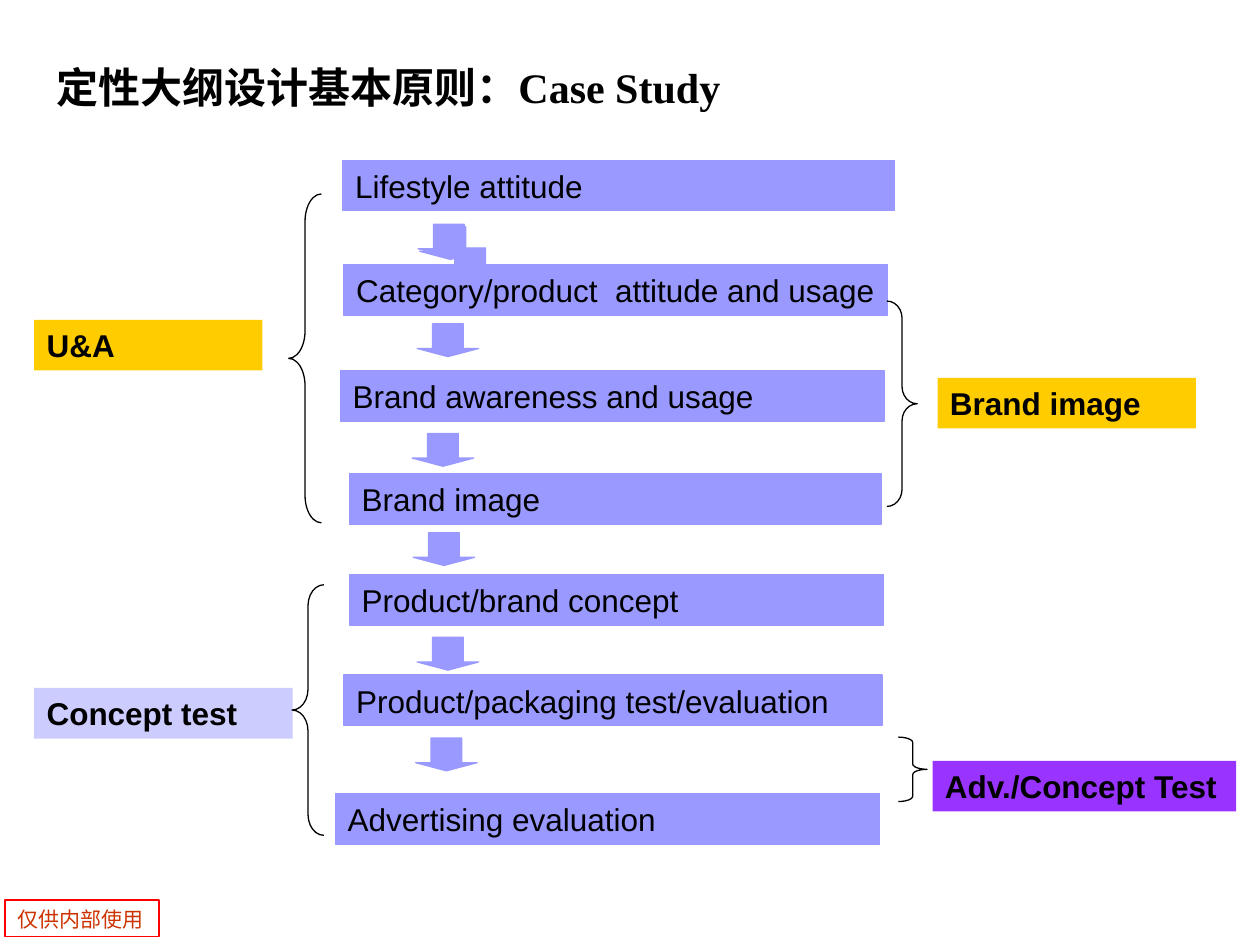
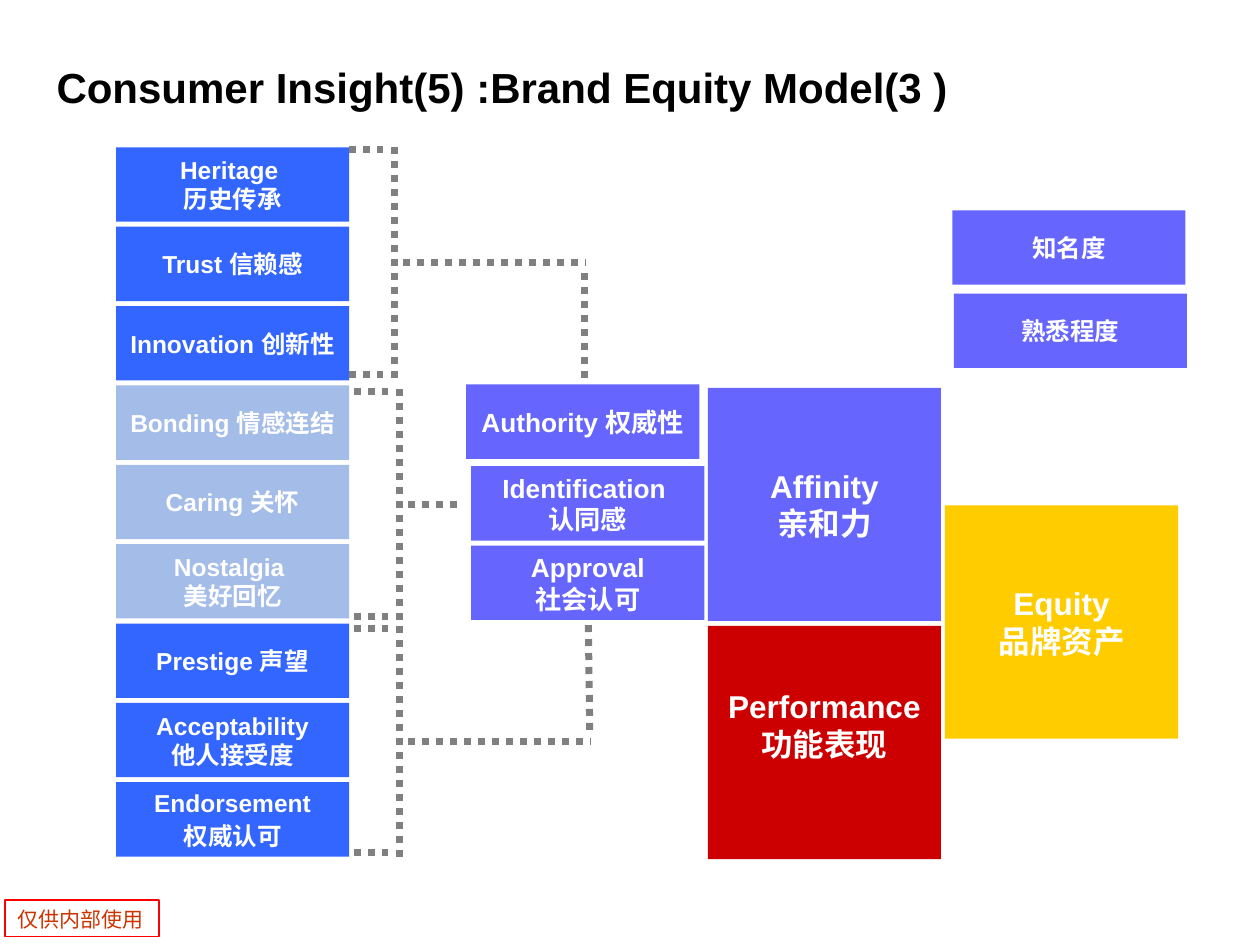
from dataclasses import dataclass

from lxml import etree
from pptx import Presentation
from pptx import util as u
from pptx.dml.color import RGBColor
from pptx.enum import dml, shapes, text
from pptx.oxml import ns


@dataclass(frozen=True)
class Theme:
    black: str = "000000"
    white: str = "FFFFFF"
    footer_text: str = "CC3300"
    footer_line: str = "FF0000"
    step: str = "9999FF"
    gold: str = "FFCC00"
    lilac: str = "CCCCFF"
    purple: str = "9933FF"
    blue: str = "3366FF"
    pale_blue: str = "A4BCE8"
    violet: str = "6666FF"
    red: str = "CC0000"
    dots: str = "808080"
    font: str = "Arial"
    serif: str = "Times New Roman"
    asian: str = "Noto Sans CJK SC"
    title_size: int = 24
    body_size: int = 18
    middle_size: int = 15
    small_size: int = 14
    footer_size: int = 12


THEME = Theme()

# Shared content; all lengths are centimetres
FOOTER = "仅供内部使用"
FOOTER_BOX = (0.1, 18.14, 3.1, 0.74)
TITLE_BOX = (0.89, 0.58, 24.0, 2.34)

# Case study: text, left, top, width
CASE_TITLE = "定性大纲设计基本原则：Case Study"
BAR_HEIGHT = 1.02
STEPS = [
    ("Lifestyle attitude", 6.91, 3.23, 11.13),
    ("Category/product  attitude and usage", 6.93, 5.33, 10.97),
    ("Brand awareness and usage", 6.86, 7.47, 10.97),
    ("Brand image", 7.04, 9.55, 10.72),
    ("Product/brand concept", 7.04, 11.58, 10.77),
    ("Product/packaging test/evaluation", 6.93, 13.61, 10.85),
    ("Advertising evaluation", 6.76, 16.0, 10.97),
]
ARROW_SIZE = (1.24, 0.66)
ARROWS = [(8.43, 4.52), (8.46, 4.57), (8.86, 5.0), (8.41, 6.53),
          (8.31, 8.74), (8.33, 10.74), (8.41, 12.85), (8.38, 14.88)]
STUDIES = [
    ("U&A", 0.69, 6.45, 4.6, THEME.gold),
    ("Brand image", 18.9, 7.62, 5.21, THEME.gold),
    ("Concept test", 0.69, 13.87, 5.21, THEME.lilac),
    ("Adv./Concept Test", 18.8, 15.34, 6.12, THEME.purple),
]
BRACES = [
    ("LEFT_BRACE", 5.82, 3.91, 0.66, 6.63),
    ("RIGHT_BRACE", 17.88, 6.07, 0.61, 4.14),
    ("LEFT_BRACE", 5.89, 11.79, 0.64, 5.05),
    ("RIGHT_BRACE", 18.11, 14.86, 0.58, 1.3),
]

# Brand equity model
EQUITY_TITLE = "Consumer Insight(5) :Brand Equity Model(3 )"
TILE_WIDTH, TILE_HEIGHT = 4.7, 1.5
DRIVERS = ["Heritage \n历史传承", "Trust 信赖感", "Innovation 创新性",
           "Bonding 情感连结", "Caring 关怀", "Nostalgia \n美好回忆",
           "Prestige 声望", "Acceptability\n他人接受度", "Endorsement\n权威认可"]
DRIVER_LEFT, DRIVER_TOP, DRIVER_PITCH = 2.34, 2.97, 1.6
DRIVER_GROUP = 3
GROUP_FILLS = [THEME.blue, THEME.pale_blue, THEME.blue]
# text, left, top, type size
VIOLET_TILES = [
    ("Authority 权威性", 9.4, 7.75, THEME.middle_size),
    ("Identification \n认同感", 9.5, 9.4, THEME.middle_size),
    ("Approval\n社会认可", 9.5, 11.0, THEME.middle_size),
    ("知名度", 19.2, 4.24, THEME.small_size),
    ("熟悉程度", 19.23, 5.92, THEME.small_size),
]
# text, left, top, fill, bottom inset
PILLARS = [
    ("Performance\n功能表现", 14.27, 12.62, THEME.red, 0.83),
    ("Affinity\n亲和力", 14.27, 7.82, THEME.violet, 0.13),
    ("Equity\n品牌资产", 19.05, 10.19, THEME.gold, 0.13),
]
# left, top, stem end measured from left
BRACKETS = [(7.04, 2.97, 4.78), (7.14, 7.85, 2.21), (7.14, 12.62, 4.78)]
RISERS = [(11.79, 5.51, 11.79, 7.75), (11.86, 12.6, 11.89, 14.83)]


def write_text(shape, content, *, size, color=THEME.black, font=THEME.font,
               bold=False, align=text.PP_ALIGN.LEFT, anchor=text.MSO_ANCHOR.TOP,
               wrap=True, gap=0, bottom=0.13):
    """Fill a shape with one paragraph per line of content."""
    frame = shape.text_frame
    frame.text = content
    frame.word_wrap = wrap
    frame.vertical_anchor = anchor
    frame.margin_left = frame.margin_right = u.Cm(0.25)
    frame.margin_top, frame.margin_bottom = u.Cm(0.13), u.Cm(bottom)
    for index, paragraph in enumerate(frame.paragraphs):
        paragraph.alignment = align
        if index and gap:
            paragraph.space_before = u.Pt(gap)
        for run in paragraph.runs:
            run.font.name, run.font.size, run.font.bold = font, u.Pt(size), bold
            run.font.color.rgb = RGBColor.from_string(color)
            asian = etree.SubElement(run.font._element, ns.qn("a:ea"))
            asian.set("typeface", THEME.asian)


def add_preset(slide, kind, box, fill=None, line=None, line_width=0.75):
    shape = slide.shapes.add_shape(kind, *map(u.Cm, box))
    shape.shadow.inherit = False
    if fill:
        shape.fill.solid()
        shape.fill.fore_color.rgb = RGBColor.from_string(fill)
    else:
        shape.fill.background()
    if line:
        shape.line.color.rgb = RGBColor.from_string(line)
        shape.line.width = u.Pt(line_width)
    else:
        shape.line.fill.background()
    return shape


def add_box(slide, box, content, fill=None, line=None, line_width=0.75, **text_format):
    shape = add_preset(slide, shapes.MSO_SHAPE.RECTANGLE, box, fill, line, line_width)
    write_text(shape, content, **text_format)


def add_tile(slide, content, left, top, fill, height=TILE_HEIGHT, **text_format):
    add_box(slide, (left, top, TILE_WIDTH, height), content, fill,
            color=THEME.white, bold=True, align=text.PP_ALIGN.CENTER,
            anchor=text.MSO_ANCHOR.MIDDLE, **text_format)


def add_dotted_line(slide, *ends):
    connector = slide.shapes.add_connector(shapes.MSO_CONNECTOR.STRAIGHT, *map(u.Cm, ends))
    connector.line.color.rgb = RGBColor.from_string(THEME.dots)
    connector.line.width = u.Pt(4)
    connector.line.dash_style = dml.MSO_LINE.ROUND_DOT
    etree.SubElement(connector._element.spPr, ns.qn("a:effectLst"))


def add_bracket(slide, left, top, stem_end):
    trunk = left + 0.91
    for arm_y in (top + 0.05, top + 4.57):
        add_dotted_line(slide, left, arm_y, left + 0.69, arm_y)
    add_dotted_line(slide, trunk, top, trunk, top + 4.71)
    add_dotted_line(slide, left + 1.09, top + 2.33, left + stem_end, top + 2.33)


def add_base_slide(presentation, title, title_font):
    """Start a slide with the shared footer stamp and title."""
    slide = presentation.slides.add_slide(presentation.slide_layouts[6])
    add_box(slide, FOOTER_BOX, FOOTER, line=THEME.footer_line, line_width=1,
            size=THEME.footer_size, color=THEME.footer_text, font=THEME.asian)
    write_text(slide.shapes.add_textbox(*map(u.Cm, TITLE_BOX)), title,
               size=THEME.title_size, font=title_font, bold=True,
               anchor=text.MSO_ANCHOR.MIDDLE)
    return slide


def build_case_study(presentation):
    slide = add_base_slide(presentation, CASE_TITLE, THEME.serif)
    # Research steps and the arrows between them
    for content, left, top, width in STEPS:
        add_box(slide, (left, top, width, BAR_HEIGHT), content, THEME.step,
                THEME.step, size=THEME.body_size)
    for position in ARROWS:
        add_preset(slide, shapes.MSO_SHAPE.DOWN_ARROW, position + ARROW_SIZE,
                   THEME.step, THEME.step).adjustments[1] = 0.25
    # Study types and the braces that span their steps
    for content, left, top, width, fill in STUDIES:
        add_box(slide, (left, top, width, BAR_HEIGHT), content, fill,
                size=THEME.body_size, bold=True)
    for kind, left, top, width, height in BRACES:
        brace = add_preset(slide, shapes.MSO_SHAPE[kind], (left, top, width, height),
                           line=THEME.black)
        brace.adjustments[0] = height / 12 / width


def build_equity_model(presentation):
    slide = add_base_slide(presentation, EQUITY_TITLE, THEME.font)
    # Column of drivers, coloured in groups
    for index, content in enumerate(DRIVERS):
        add_tile(slide, content, DRIVER_LEFT, DRIVER_TOP + index * DRIVER_PITCH,
                 GROUP_FILLS[index // DRIVER_GROUP], size=THEME.small_size,
                 gap=1.8 if content.startswith("Endorsement") else 0)
    # Dotted links
    for bracket in BRACKETS:
        add_bracket(slide, *bracket)
    for riser in RISERS:
        add_dotted_line(slide, *riser)
    # Intermediate dimensions and the large blocks
    for content, left, top, size in VIOLET_TILES:
        add_tile(slide, content, left, top, THEME.violet, size=size)
    for content, left, top, fill, bottom in PILLARS:
        add_tile(slide, content, left, top, fill, height=TILE_WIDTH,
                 size=THEME.body_size, wrap=False, bottom=bottom)


def main():
    presentation = Presentation()
    presentation.slide_width, presentation.slide_height = u.Cm(25.4), u.Cm(19.05)
    build_case_study(presentation)
    build_equity_model(presentation)
    presentation.save("out.pptx")


if __name__ == "__main__":
    main()
